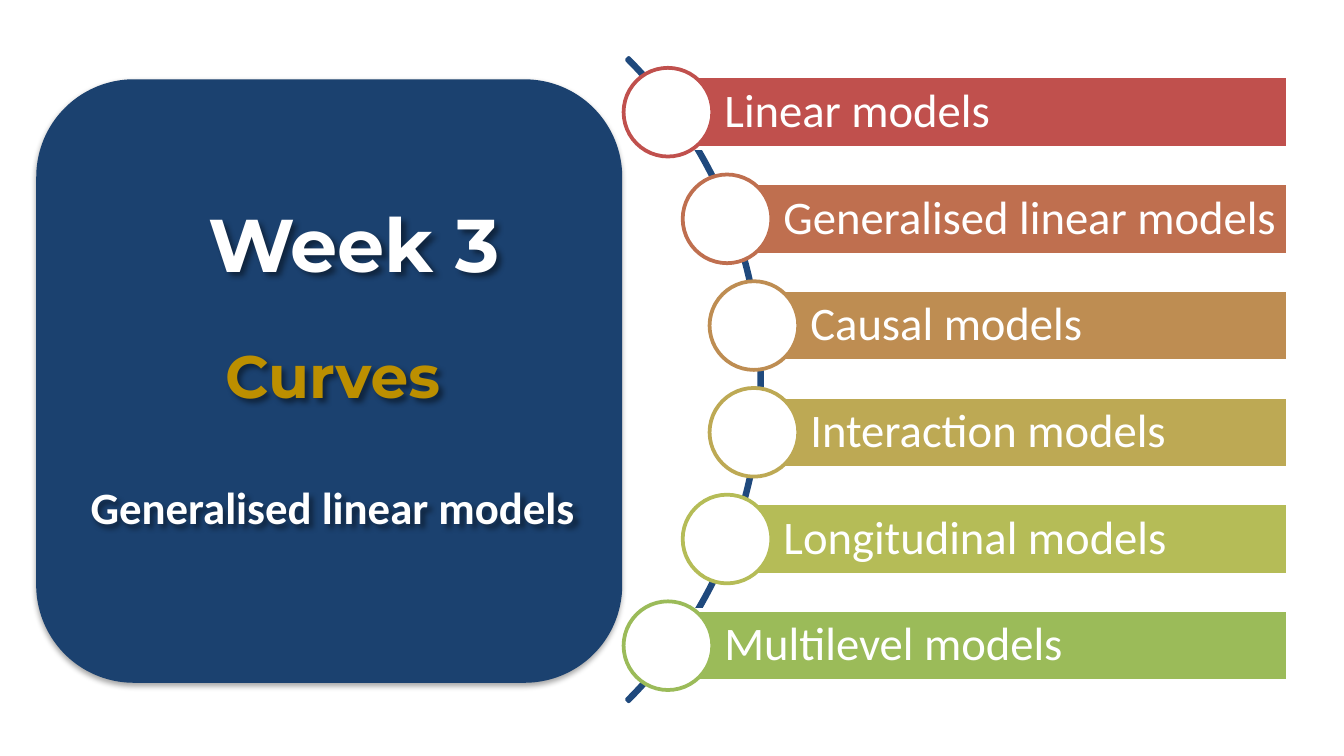
from lxml import etree
from pptx import Presentation
from pptx import util as u
from pptx.dml.color import RGBColor
from pptx.enum import shapes, text
from pptx.oxml.ns import qn

NAVY, WHITE, GOLD = "1B416F", "FFFFFF", "BC8F00"
TOPICS = [
    ("Linear models", 4.97, "C0504D"),
    ("Generalised linear models", 5.41, "BF6F4F"),
    ("Causal models", 5.61, "BE8D52"),
    ("Interaction models", 5.61, "BDA954"),
    ("Longitudinal models", 5.41, "B5BC57"),
    ("Multilevel models", 4.97, "9BBB59"),
]
BAR_TOP, LAST_BAR_TOP, BAR_HEIGHT, BAR_RIGHT = 0.57, 4.54, 0.53, 9.58
BAR_PITCH = (LAST_BAR_TOP - BAR_TOP) / (len(TOPICS) - 1)
DOT = 0.66


def rgb(value):
    return RGBColor.from_string(value)


def add_shadow(sp, blur, dist, angle, alpha):
    sp.shadow.inherit = False
    effects = sp._element.spPr.find(qn("a:effectLst"))
    shadow = etree.SubElement(
        effects, qn("a:outerShdw"), blurRad=str(u.Pt(blur)), dist=str(u.Pt(dist)),
        dir=str(angle * 60000), algn="tl", rotWithShape="0")
    color = etree.SubElement(shadow, qn("a:srgbClr"), val="000000")
    etree.SubElement(color, qn("a:alpha"), val=str(alpha * 1000))


def add_shape(s, kind, left, top, width, height, fill, line=None):
    sp = s.shapes.add_shape(kind, *map(u.Inches, (left, top, width, height)))
    sp.shadow.inherit = False
    sp.fill.solid()
    sp.fill.fore_color.rgb = rgb(fill)
    if line:
        sp.line.color.rgb = rgb(line)
        sp.line.width = u.Pt(2)
    else:
        sp.line.fill.background()
    return sp


def write(sp, words, size, font="Calibri", color=WHITE, bold=False, align="LEFT",
          anchor="TOP", insets=(0.1, 0.05, 0.1, 0.05), spacing=None):
    tf = sp.text_frame
    tf.word_wrap = True
    tf.vertical_anchor = getattr(text.MSO_ANCHOR, anchor)
    tf.margin_left, tf.margin_top, tf.margin_right, tf.margin_bottom = map(u.Inches, insets)
    p = tf.paragraphs[0]
    p.alignment = getattr(text.PP_ALIGN, align)
    p.line_spacing = spacing
    r = p.add_run()
    r.text = words
    r.font.size = u.Pt(size)
    r.font.bold = bold
    r.font.color.rgb = rgb(color)
    r.font.name = font


def add_panel(s):
    sp = add_shape(s, shapes.MSO_SHAPE.ROUNDED_RECTANGLE, 0.27, 0.59, 4.36, 4.49, NAVY)
    add_shadow(sp, 3.1, 1.8, 90, 35)


def add_heading(s, words, left, top, width, size, **fmt):
    sp = s.shapes.add_textbox(*map(u.Inches, (left, top, width, 0.8)))
    add_shadow(sp, 3, 3, 45, 43)
    write(sp, words, size, bold=True, **fmt)


def add_arc(s):
    sp = add_shape(s, shapes.MSO_SHAPE.BLOCK_ARC, -1.1, -0.56, 6.77, 6.77, "1F497D", "1F497D")
    for i, value in enumerate((189, 27, 0.003)):
        sp.adjustments[i] = value


def add_topic(s, words, left, top, color):
    bar = add_shape(s, shapes.MSO_SHAPE.RECTANGLE, left, top, BAR_RIGHT - left, BAR_HEIGHT,
                    color, WHITE)
    write(bar, words, 25, anchor="MIDDLE", insets=(0.42, 0.07, 0.05, 0.07), spacing=0.9)
    add_shape(s, shapes.MSO_SHAPE.OVAL, left - DOT / 2, top + (BAR_HEIGHT - DOT) / 2,
              DOT, DOT, WHITE, color)


def main():
    prs = Presentation()
    prs.slide_width = u.Inches(10)
    prs.slide_height = u.Inches(10 * 9 / 16)
    s = prs.slides.add_slide(prs.slide_layouts[6])
    add_panel(s)
    add_heading(s, "Week 3", 1.45, 1.42, 2.93, 40, font="Montserrat")
    add_heading(s, "Curves", 0.57, 2.47, 3.81, 32, font="Montserrat", color=GOLD, align="CENTER")
    add_heading(s, "Generalised linear models", 0.57, 3.52, 3.81, 24, align="CENTER")
    add_arc(s)
    for i, (words, left, color) in enumerate(TOPICS):
        add_topic(s, words, left, BAR_TOP + i * BAR_PITCH, color)
    prs.save("out.pptx")


if __name__ == "__main__":
    main()
